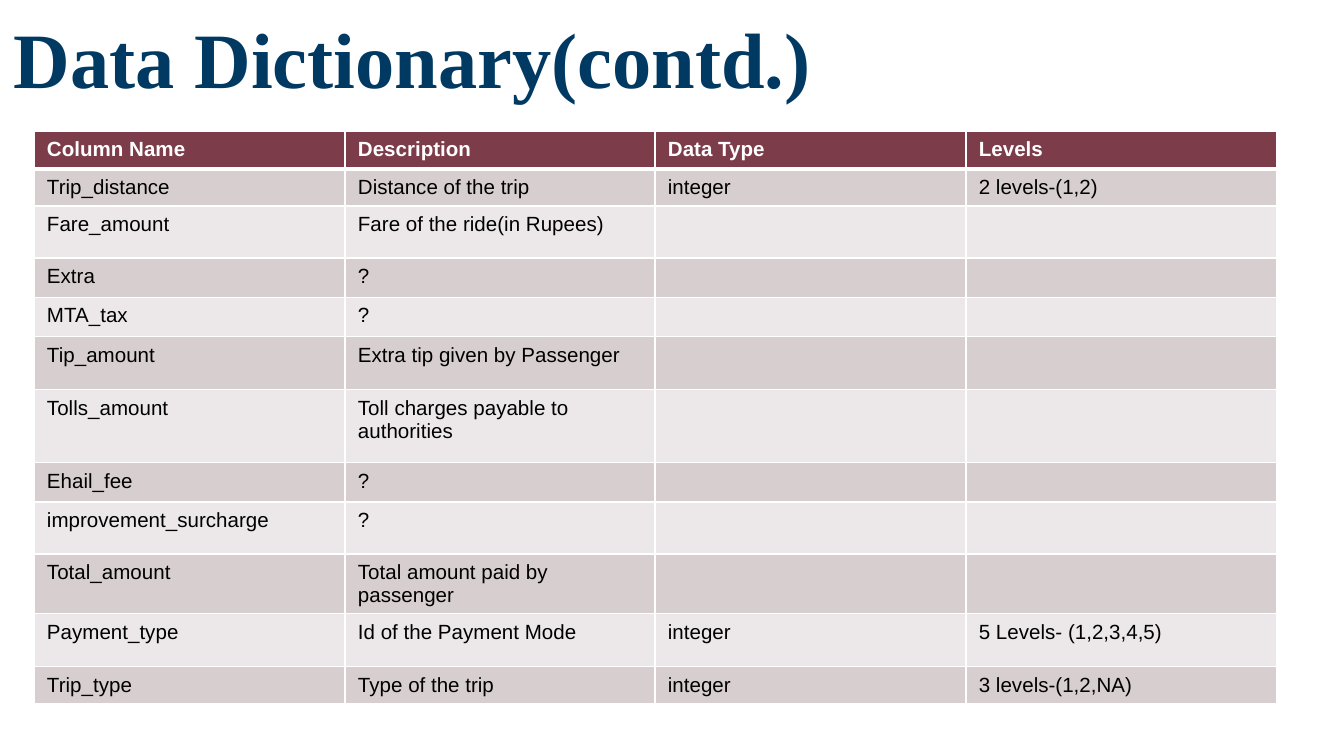
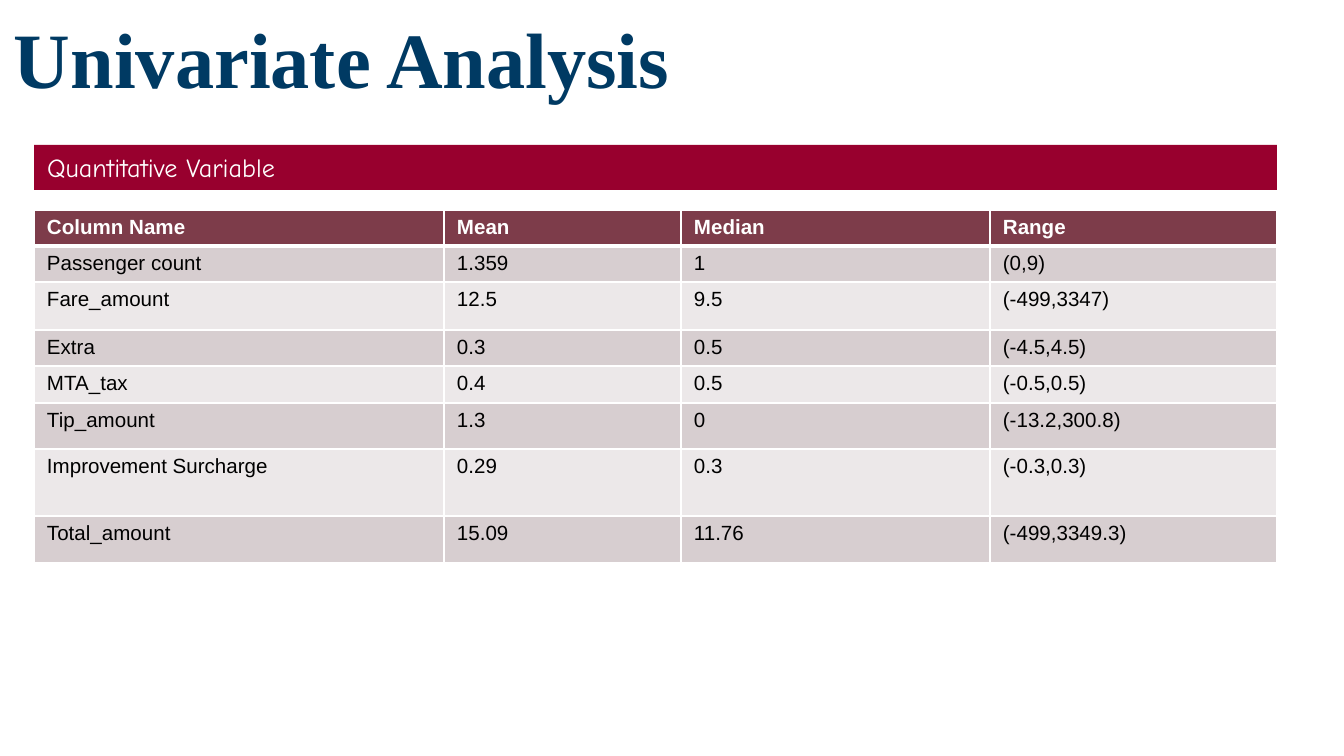
from lxml.etree import SubElement
from pptx import Presentation
from pptx.dml.color import RGBColor as RGB
from pptx.enum.shapes import MSO_SHAPE as SHAPE
from pptx.enum.text import MSO_ANCHOR as ANCHOR, MSO_AUTO_SIZE as AUTO, PP_ALIGN as ALIGN
from pptx.oxml.ns import qn
from pptx.util import Pt

PX = 914400 / 134.4
COLORS = {
    "title": "003A63", "banner": "98002E", "header": "7D3C4A",
    "odd": "D7CED0", "even": "ECE8E9", "white": "FFFFFF", "black": "000000",
}
LEFT, WIDTH = 34, 1243


def px(*lengths):
    return [round(n * PX) for n in lengths]


def write(tf, text, size=11, font="Arial", color="black", bold=False,
          anchor=ANCHOR.TOP, inset=(13, 7)):
    """Fill a text frame or a table cell with one formatted paragraph."""
    tf.margin_left = tf.margin_right = px(inset[0])[0]
    tf.margin_top = tf.margin_bottom = px(inset[1])[0]
    tf.vertical_anchor = anchor
    tf.word_wrap = True
    p = getattr(tf, "text_frame", tf).paragraphs[0]
    p.alignment = ALIGN.LEFT
    if not text:
        SubElement(p._p, qn("a:endParaRPr"), sz=str(size * 100))
        return
    r = p.add_run()
    r.text = text
    r.font.size, r.font.name, r.font.bold = Pt(size), font, bold
    r.font.color.rgb = RGB.from_string(COLORS[color])


slides = [
    {
        "title": "Data Dictionary(contd.)",
        "top": 131,
        "inset": 7,
        "cols": [311, 310, 311, 311],
        "heights": [38, 37, 52, 38, 37, 53, 73, 38, 52, 59, 53, 36],
        "rows": [
            ["Column Name", "Description", "Data Type", "Levels"],
            ["Trip_distance", "Distance of the trip", "integer", "2 levels-(1,2)"],
            ["Fare_amount", "Fare of the ride(in Rupees)", "", ""],
            ["Extra", "?", "", ""],
            ["MTA_tax", "?", "", ""],
            ["Tip_amount", "Extra tip given by Passenger", "", ""],
            ["Tolls_amount", "Toll charges payable to authorities", "", ""],
            ["Ehail_fee", "?", "", ""],
            ["improvement_surcharge", "?", "", ""],
            ["Total_amount", "Total amount paid by passenger", "", ""],
            ["Payment_type", "Id of the Payment Mode", "integer", "5 Levels- (1,2,3,4,5)"],
            ["Trip_type", "Type of the trip", "integer", "3 levels-(1,2,NA)"],
        ],
    },
    {
        "title": "Univariate Analysis",
        "banner": "Quantitative Variable",
        "top": 210,
        "inset": 6,
        "cols": [410, 237, 309, 287],
        "heights": [36, 36, 48, 36, 37, 46, 67, 47],
        "rows": [
            ["Column Name", "Mean", "Median", "Range"],
            ["Passenger count", "1.359", "1", "(0,9)"],
            ["Fare_amount", "12.5", "9.5", "(-499,3347)"],
            ["Extra", "0.3", "0.5", "(-4.5,4.5)"],
            ["MTA_tax", "0.4", "0.5", "(-0.5,0.5)"],
            ["Tip_amount", "1.3", "0", "(-13.2,300.8)"],
            ["Improvement Surcharge", "0.29", "0.3", "(-0.3,0.3)"],
            ["Total_amount", "15.09", "11.76", "(-499,3349.3)"],
        ],
    },
]

prs = Presentation()
prs.slide_width, prs.slide_height = px(1344, 756)

for data in slides:
    slide = prs.slides.add_slide(prs.slide_layouts[6])

    tf = slide.shapes.add_textbox(*px(1, 19, 1199, 98)).text_frame
    tf.auto_size = AUTO.NONE
    write(tf, data["title"], size=42, font="Times New Roman", color="title",
          bold=True, anchor=ANCHOR.BOTTOM, inset=(13, 13))

    rows, cols, heights = data["rows"], data["cols"], data["heights"]
    frame = slide.shapes.add_table(len(rows), len(cols),
                                   *px(LEFT, data["top"], WIDTH, sum(heights)))
    table = frame.table
    for column, width in zip(table.columns, px(*cols)):
        column.width = width
    for row, height in zip(table.rows, px(*heights)):
        row.height = height

    for i, values in enumerate(rows):
        header = i == 0
        fill = "header" if header else "odd" if i % 2 else "even"
        for j, value in enumerate(values):
            cell = table.cell(i, j)
            write(cell, value, color="white" if header else "black",
                  bold=header, inset=(13, data["inset"]))
            # Borders must come before the fill in the cell properties
            tc_pr = cell._tc.get_or_add_tcPr()
            for side in ("lnL", "lnR", "lnT", "lnB"):
                thick = (header and side == "lnB") or (i == 1 and side == "lnT")
                ln = SubElement(tc_pr, qn(f"a:{side}"), w=str(Pt(3 if thick else 1)))
                solid = SubElement(ln, qn("a:solidFill"))
                SubElement(solid, qn("a:srgbClr"), val=COLORS["white"])
            cell.fill.solid()
            cell.fill.fore_color.rgb = RGB.from_string(COLORS[fill])

    if "banner" in data:
        sp = slide.shapes.add_shape(SHAPE.RECTANGLE, *px(LEFT, 145, WIDTH, 45))
        sp.shadow.inherit = False
        sp.fill.solid()
        sp.fill.fore_color.rgb = RGB.from_string(COLORS["banner"])
        sp.line.fill.background()
        write(sp.text_frame, data["banner"], size=14, font="Comic Neue",
              color="white", anchor=ANCHOR.MIDDLE)

prs.save("out.pptx")
